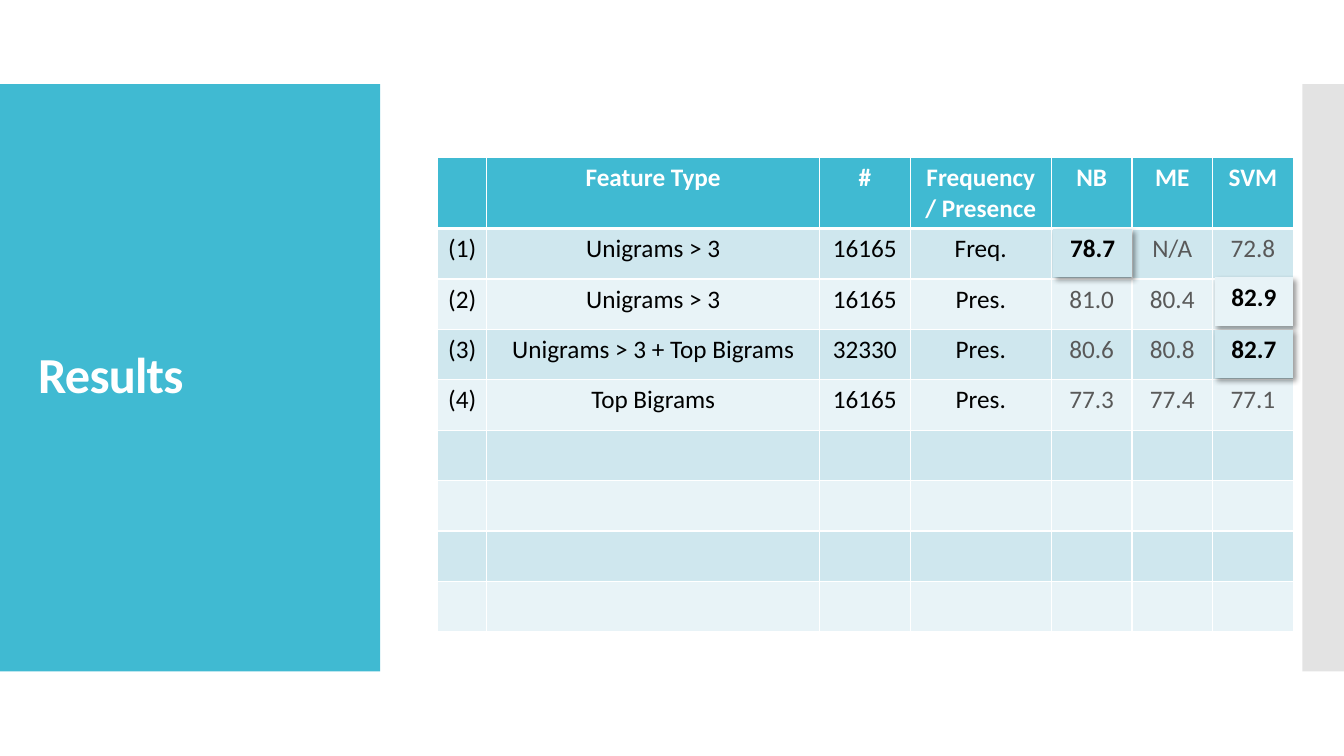
from dataclasses import dataclass

import lxml.etree
import pptx
import pptx.dml.color
import pptx.enum.shapes
import pptx.enum.text
import pptx.oxml
import pptx.oxml.ns
import pptx.util

Pt = pptx.util.Pt
qn = pptx.oxml.ns.qn

FONT = "Calibri"
TEAL, WHITE, BLACK, GRAY = "40BAD2", "FFFFFF", "000000", "595959"
BANDS = ("CFE7EE", "E8F3F7")
TABLE_LEFT, TABLE_TOP = 312.5, 112.3
COLUMN_WIDTHS = (35.3, 237.6, 64.8, 100.8, 57.6, 57.6, 57.6)
HEADER_HEIGHT, ROW_HEIGHT, ROW_COUNT = 51, 36, 8
FIRST_SCORE_COLUMN = 4
HEADER = ("", "Feature Type", "#", "Frequency / Presence", "NB", "ME", "SVM")
RESULTS = (
    ("(1)", "Unigrams > 3", "16165", "Freq.", "78.7", "N/A", "72.8"),
    ("(2)", "Unigrams > 3", "16165", "Pres.", "81.0", "80.4", "82.9"),
    ("(3)", "Unigrams > 3 + Top Bigrams", "32330", "Pres.", "80.6", "80.8", "82.7"),
    ("(4)", "Top Bigrams", "16165", "Pres.", "77.3", "77.4", "77.1"),
)


@dataclass(frozen=True)
class Panel:
    """A plain rectangle at the side of the slide."""
    left: float
    width: float
    color: str
    opacity: int = 100


@dataclass(frozen=True)
class BestScore:
    """A raised cell over the best score of one row."""
    text: str
    left: float
    top: float
    fill: str


PANELS = (Panel(0, 271.5, TEAL), Panel(930.2, 29.8, "C8C8C8", 50))
BEST_SCORES = (
    BestScore("78.7", 752.4, 163.4, BANDS[0]),
    BestScore("82.9", 867.6, 198, BANDS[1]),
    BestScore("82.7", 867.6, 235.4, BANDS[0]),
)
BEST_TEXTS = {score.text for score in BEST_SCORES}


def rgb(color: str) -> pptx.dml.color.RGBColor:
    """Turn a hex string into a colour."""
    return pptx.dml.color.RGBColor.from_string(color)


def add_run(paragraph, text: str, size: float, color: str, bold: bool):
    """Add one formatted run and return it."""
    run = paragraph.add_run()
    run.text = text
    run.font.name, run.font.size, run.font.bold = FONT, Pt(size), bold
    run.font.color.rgb = rgb(color)
    return run


def add_panel(slide, panel: Panel) -> None:
    """Draw a side panel."""
    shape = slide.shapes.add_shape(
        pptx.enum.shapes.MSO_SHAPE.RECTANGLE,
        Pt(panel.left), Pt(60), Pt(panel.width), Pt(419.5))
    shape.shadow.inherit = False
    shape.fill.solid()
    shape.fill.fore_color.rgb = rgb(panel.color)
    shape.line.fill.background()
    if panel.opacity < 100:
        color = shape._element.spPr.find(".//" + qn("a:srgbClr"))
        alpha = lxml.etree.SubElement(color, qn("a:alpha"))
        alpha.set("val", str(panel.opacity * 1000))


def add_title(slide, text: str) -> None:
    """Write the slide title on the teal panel."""
    frame = slide.shapes.add_textbox(Pt(20.2), Pt(88.6), Pt(231.8), Pt(362.2)).text_frame
    frame.word_wrap = True
    frame.vertical_anchor = pptx.enum.text.MSO_ANCHOR.MIDDLE
    paragraph = frame.paragraphs[0]
    paragraph.line_spacing = 0.9
    run = add_run(paragraph, text, 36, WHITE, True)
    run._r.get_or_add_rPr().set("spc", "-60")


def set_border(cell, side: str, width: float) -> None:
    """Set one white cell border; zero width means none."""
    paint = (f'<a:solidFill><a:srgbClr val="{WHITE}"/></a:solidFill>'
             if width else "<a:noFill/>")
    cell._tc.get_or_add_tcPr().append(pptx.oxml.parse_xml(
        f'<a:ln{side} {pptx.oxml.ns.nsdecls("a")} w="{Pt(width)}">{paint}</a:ln{side}>'))


def style_cell(cell, text: str, fill: str, color: str, bold: bool,
               border: float = 1, bottom: float = 1) -> None:
    """Give a cell its borders, fill and centred text."""
    for side in "LRT":
        set_border(cell, side, border)
    set_border(cell, "B", bottom)
    cell.fill.solid()
    cell.fill.fore_color.rgb = rgb(fill)
    paragraph = cell.text_frame.paragraphs[0]
    paragraph.alignment = pptx.enum.text.PP_ALIGN.CENTER
    if text:
        add_run(paragraph, text, 18, color, bold)


def add_plain_table(slide, left: float, top: float, widths, heights):
    """Add a table without banding and size its columns and rows."""
    table = slide.shapes.add_table(
        len(heights), len(widths), Pt(left), Pt(top),
        Pt(sum(widths)), Pt(sum(heights))).table
    table.first_row = table.horz_banding = False
    for column, width in zip(table.columns, widths):
        column.width = Pt(width)
    for row, height in zip(table.rows, heights):
        row.height = Pt(height)
    return table


def add_results_table(slide) -> None:
    """Draw the header, the results and the empty rows below."""
    table = add_plain_table(slide, TABLE_LEFT, TABLE_TOP, COLUMN_WIDTHS,
                            (HEADER_HEIGHT,) + (ROW_HEIGHT,) * ROW_COUNT)
    for column, text in enumerate(HEADER):
        style_cell(table.cell(0, column), text, TEAL, WHITE, True, bottom=3)
    empty_row = ("",) * len(HEADER)
    rows = RESULTS + (empty_row,) * (ROW_COUNT - len(RESULTS))
    for index, texts in enumerate(rows):
        for column, text in enumerate(texts):
            best = text in BEST_TEXTS
            color = GRAY if column >= FIRST_SCORE_COLUMN and not best else BLACK
            cell = table.cell(index + 1, column)
            style_cell(cell, text, BANDS[index % 2], color, best)
            if index == 0:
                set_top = cell._tc.tcPr.find(qn("a:lnT"))
                set_top.set("w", str(Pt(3)))


def add_best_score(slide, score: BestScore) -> None:
    """Draw a best score as a one-cell table with a shadow."""
    table = add_plain_table(slide, score.left, score.top, (56.2,), (34.6,))
    style_cell(table.cell(0, 0), score.text, score.fill, BLACK, True, 0, 0)
    table._tbl.tblPr.insert(0, pptx.oxml.parse_xml(
        f'<a:effectLst {pptx.oxml.ns.nsdecls("a")}>'
        f'<a:outerShdw blurRad="{Pt(4)}" dist="{Pt(3)}" dir="2700000" algn="tl" rotWithShape="0">'
        f'<a:srgbClr val="{BLACK}"><a:alpha val="40000"/></a:srgbClr>'
        '</a:outerShdw></a:effectLst>'))


def main() -> None:
    """Build and save the slide."""
    presentation = pptx.Presentation()
    presentation.slide_width, presentation.slide_height = Pt(960), Pt(540)
    slide = presentation.slides.add_slide(presentation.slide_layouts[6])
    for panel in PANELS:
        add_panel(slide, panel)
    add_title(slide, "Results")
    add_results_table(slide)
    for score in BEST_SCORES:
        add_best_score(slide, score)
    presentation.save("out.pptx")


main()
